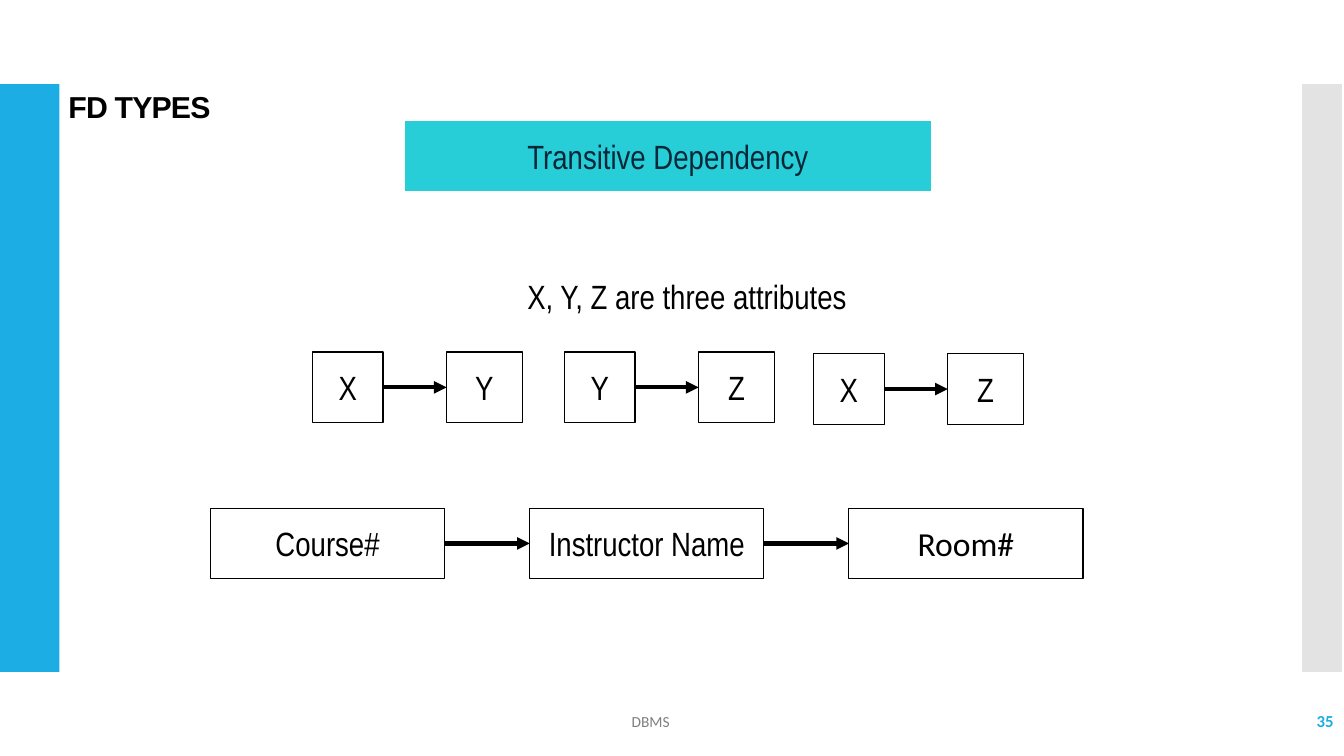
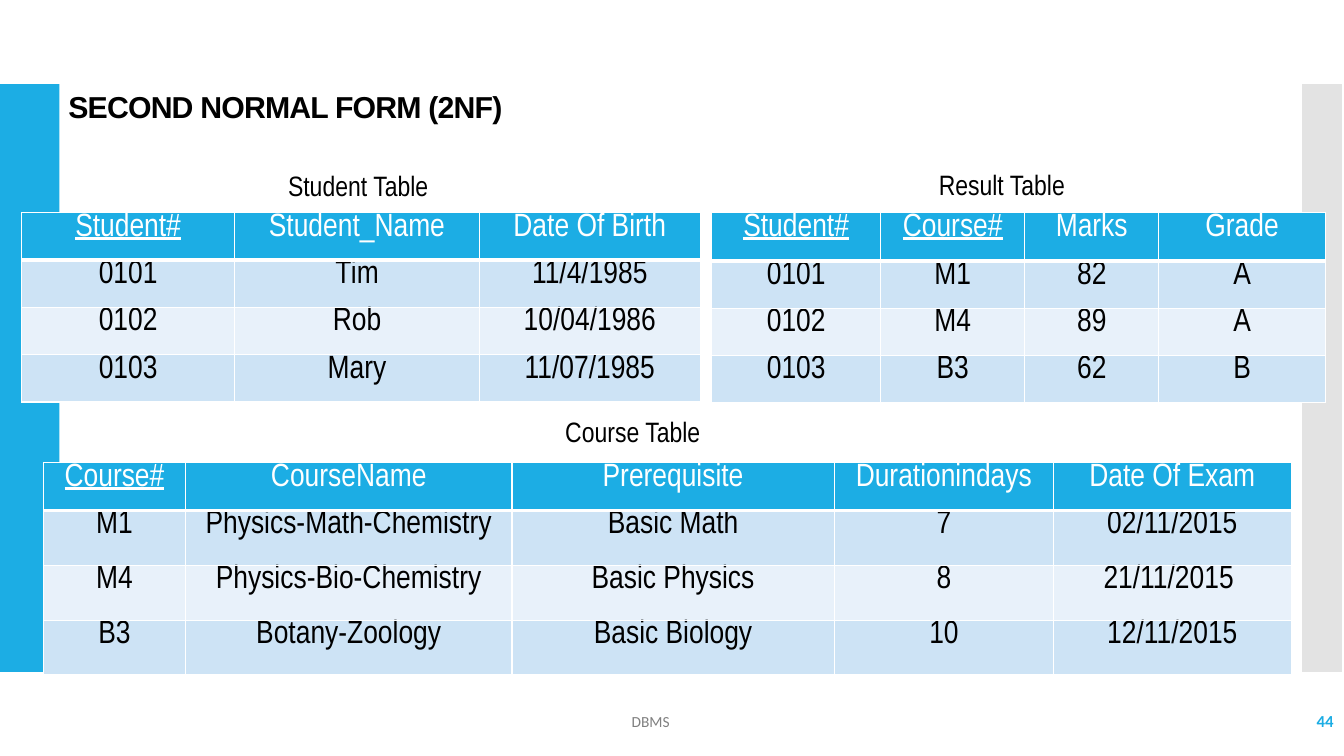
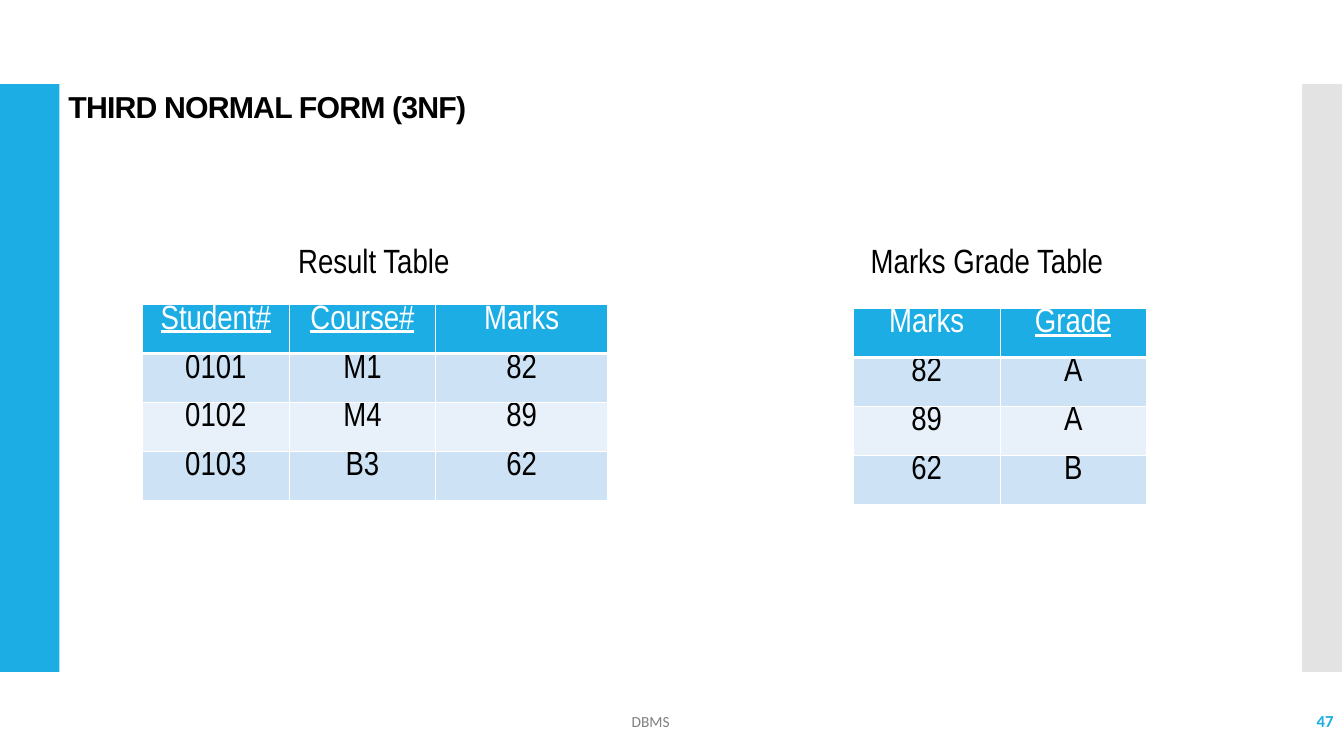
import pptx
import pptx.util
import pptx.dml.color
import pptx.enum.shapes
import pptx.enum.text
import pptx.oxml.ns
from lxml import etree

Pt = pptx.util.Pt
ALIGN = pptx.enum.text.PP_ALIGN
ANCHOR = pptx.enum.text.MSO_ANCHOR
RECTANGLE = pptx.enum.shapes.MSO_SHAPE.RECTANGLE
STRAIGHT = pptx.enum.shapes.MSO_CONNECTOR.STRAIGHT
qn = pptx.oxml.ns.qn

COLORS = {
    "accent": "1CADE4",
    "side": "C8C8C8",
    "banner": "27CED7",
    "banner_text": "052839",
    "odd_row": "CDE3F5",
    "even_row": "E8F1FA",
    "footer": "808080",
    "black": "000000",
    "white": "FFFFFF",
}
NARROW = "Arial Narrow"
FOOTER = "DBMS"

DEPENDENCIES = [
    ("X", "Y", 223.2, 251.5),
    ("Y", "Z", 403.2, 251.5),
    ("X", "Z", 581.2, 252.7),
]
COURSE_CHAIN = [("Course#", NARROW), ("Instructor Name", NARROW), ("Room#", "Calibri")]

STUDENTS = {
    "at": (15.6, 152),
    "columns": [152, 175, 157.6],
    "heights": [33.8] * 4,
    "keys": [0],
    "size": 23,
    "rows": [
        ["Student#", "Student_Name", "Date Of Birth"],
        ["0101", "Tim", "11/4/1985"],
        ["0102", "Rob", "10/04/1986"],
        ["0103", "Mary", "11/07/1985"],
    ],
}
COURSES = {
    "at": (31, 330.4),
    "columns": [101.7, 233, 230.4, 156.4, 170],
    "heights": [34.2, 39.2, 39.2, 39.2],
    "keys": [0],
    "size": 23,
    "rows": [
        ["Course#", "CourseName", "Prerequisite", "Durationindays", "Date Of Exam"],
        ["M1", "Physics-Math-Chemistry", "Basic Math", "7", "02/11/2015"],
        ["M4", "Physics-Bio-Chemistry", "Basic Physics", "8", "21/11/2015 "],
        ["B3", "Botany-Zoology", "Basic Biology", "10", "12/11/2015"],
    ],
}
RESULTS = {
    "at": (508.4, 152),
    "columns": [120.8, 102.8, 95.8, 119],
    "heights": [34.6, 33.6, 33.6, 33.6],
    "keys": [0, 1],
    "size": 23,
    "rows": [
        ["Student#", "Course#", "Marks", "Grade"],
        ["0101", "M1", "82", "A"],
        ["0102", "M4", "89", "A"],
        ["0103", "B3", "62", "B"],
    ],
}
RESULTS_3NF = {
    "at": (101.7, 217.5),
    "columns": [105, 104.4, 123],
    "heights": [35] * 4,
    "keys": [0, 1],
    "size": 24,
    "rows": [row[:3] for row in RESULTS["rows"]],
}
MARK_GRADES = {
    "at": (609.4, 220.3),
    "columns": [105, 104.4],
    "heights": [35] * 4,
    "keys": [1],
    "size": 24,
    "rows": [row[2:] for row in RESULTS["rows"]],
}
CAPTIONS_2NF = [
    ("Result Table ", (628.6, 115.9, 178.6, 31.5)),
    ("Student Table ", (182.9, 116.6, 150.5, 31.5)),
    ("Course Table ", (367.2, 292.3, 174.2, 31.5)),
]
CAPTIONS_3NF = [
    ("Result Table", (205.9, 167.8, 153.4, 36)),
    ("Marks Grade Table", (614.9, 167.8, 211, 36)),
]


def rgb(name):
    return pptx.dml.color.RGBColor.from_string(COLORS[name])


def write(frame, text, size, font=NARROW, color="black", align=ALIGN.CENTER, bold=False):
    frame.text = text
    paragraph = frame.paragraphs[0]
    paragraph.alignment = align
    face = paragraph.runs[0].font
    face.name, face.size, face.bold = font, Pt(size), bold
    face.color.rgb = rgb(color)
    return paragraph


def add_text(slide, box, text, size, anchor=ANCHOR.TOP, **style):
    frame = slide.shapes.add_textbox(*map(Pt, box)).text_frame
    frame.word_wrap = True
    frame.vertical_anchor = anchor
    return write(frame, text, size, **style)


def add_rectangle(slide, box, fill=None, line=None, width=0.85):
    rectangle = slide.shapes.add_shape(RECTANGLE, *map(Pt, box))
    rectangle.shadow.inherit = False
    if fill:
        rectangle.fill.solid()
        rectangle.fill.fore_color.rgb = rgb(fill)
    else:
        rectangle.fill.background()
    if line:
        rectangle.line.color.rgb = rgb(line)
        rectangle.line.width = Pt(width)
    else:
        rectangle.line.fill.background()
    return rectangle


def add_attribute(slide, box, text, font=NARROW):
    attribute = add_rectangle(slide, box, line="black")
    attribute.text_frame.vertical_anchor = ANCHOR.MIDDLE
    write(attribute.text_frame, text, 24, font)
    return attribute


def add_arrow(slide, source, target):
    arrow = slide.shapes.add_connector(STRAIGHT, 0, 0, 0, 0)
    arrow.begin_connect(source, 3)
    arrow.end_connect(target, 1)
    arrow.line.color.rgb = rgb("black")
    arrow.line.width = Pt(3)
    etree.SubElement(arrow.line._get_or_add_ln(), qn("a:tailEnd"), type="triangle")
    etree.SubElement(arrow._element.spPr, qn("a:effectLst"))


def add_border(cell, side, width):
    edge = etree.SubElement(cell._tc.get_or_add_tcPr(), qn("a:" + side), w=str(Pt(width)))
    fill = etree.SubElement(edge, qn("a:solidFill"))
    etree.SubElement(fill, qn("a:srgbClr"), val=COLORS["white"])


def add_data_table(slide, data):
    rows, columns, heights = data["rows"], data["columns"], data["heights"]
    box = (*data["at"], sum(columns), sum(heights))
    grid = slide.shapes.add_table(len(rows), len(columns), *map(Pt, box)).table
    grid.horz_banding = False
    for column, width in zip(grid.columns, columns):
        column.width = Pt(width)
    for r, (row, height) in enumerate(zip(rows, heights)):
        grid.rows[r].height = Pt(height)
        fill = "accent" if r == 0 else "odd_row" if r % 2 else "even_row"
        for c, text in enumerate(row):
            cell = grid.cell(r, c)
            cell.margin_left = cell.margin_right = Pt(6.5)
            cell.margin_top, cell.margin_bottom = 0, Pt(3)
            for side in ("lnL", "lnR", "lnT", "lnB"):
                heavy = (r, side) in ((0, "lnB"), (1, "lnT"))
                add_border(cell, side, 3 if heavy else 1)
            cell.fill.solid()
            cell.fill.fore_color.rgb = rgb(fill)
            color = "black" if r else "white"
            paragraph = write(cell.text_frame, text, data["size"], color=color)
            if r == 0 and c in data["keys"]:
                paragraph.runs[0].font.underline = True


def add_base(deck, title, number):
    slide = deck.slides.add_slide(deck.slide_layouts[6])
    add_rectangle(slide, (0, 60, 42.4, 420), "accent")
    side = add_rectangle(slide, (930.2, 60, 28.4, 420), "side")
    tint = side._element.spPr.find(".//" + qn("a:srgbClr"))
    etree.SubElement(tint, qn("a:alpha"), val="50000")
    heading = add_text(slide, (41.8, 62.2, 751.7, 29), title, 21.6,
                       font="Arial", align=ALIGN.LEFT, bold=True)
    heading.line_spacing = 0.9
    heading.runs[0]._r.get_or_add_rPr().set("spc", "-60")
    add_text(slide, (839.5, 500.6, 120.2, 28.8), str(number), 12, ANCHOR.MIDDLE,
             font="Calibri", color="accent", align=ALIGN.RIGHT, bold=True)
    add_text(slide, (236.9, 501.2, 455.8, 28), FOOTER, 11, ANCHOR.MIDDLE,
             font="Calibri", color="footer")
    return slide


def build_transitive(deck):
    slide = add_base(deck, "FD TYPES", 35)
    banner = add_rectangle(slide, (288.8, 86, 376.5, 51), "banner", "white", 0.75)
    banner.text_frame.vertical_anchor = ANCHOR.MIDDLE
    write(banner.text_frame, "Transitive Dependency", 24, color="banner_text")
    add_text(slide, (280, 193.5, 421.2, 36), "X, Y, Z are three attributes", 24)
    for source, target, left, top in DEPENDENCIES:
        determinant = add_attribute(slide, (left, top, 50.4, 50.4), source)
        dependent = add_attribute(slide, (left + 95.8, top, 54, 50.4), target)
        add_arrow(slide, determinant, dependent)
    previous = None
    for i, (text, font) in enumerate(COURSE_CHAIN):
        current = add_attribute(slide, (150.4 + 228 * i, 363, 167.2, 50.4), text, font)
        if previous:
            add_arrow(slide, previous, current)
        previous = current


def build_second_form(deck):
    slide = add_base(deck, "SECOND NORMAL FORM (2NF)", 44)
    for data in (STUDENTS, COURSES, RESULTS):
        add_data_table(slide, data)
    for text, box in CAPTIONS_2NF:
        add_text(slide, box, text, 20)


def build_third_form(deck):
    slide = add_base(deck, "THIRD NORMAL FORM (3NF)", 47)
    for data in (RESULTS_3NF, MARK_GRADES):
        add_data_table(slide, data)
    for text, box in CAPTIONS_3NF:
        add_text(slide, box, text, 24, align=ALIGN.LEFT)


def main():
    deck = pptx.Presentation()
    deck.slide_width, deck.slide_height = Pt(960), Pt(540)
    build_transitive(deck)
    build_second_form(deck)
    build_third_form(deck)
    deck.save("out.pptx")


if __name__ == "__main__":
    main()
